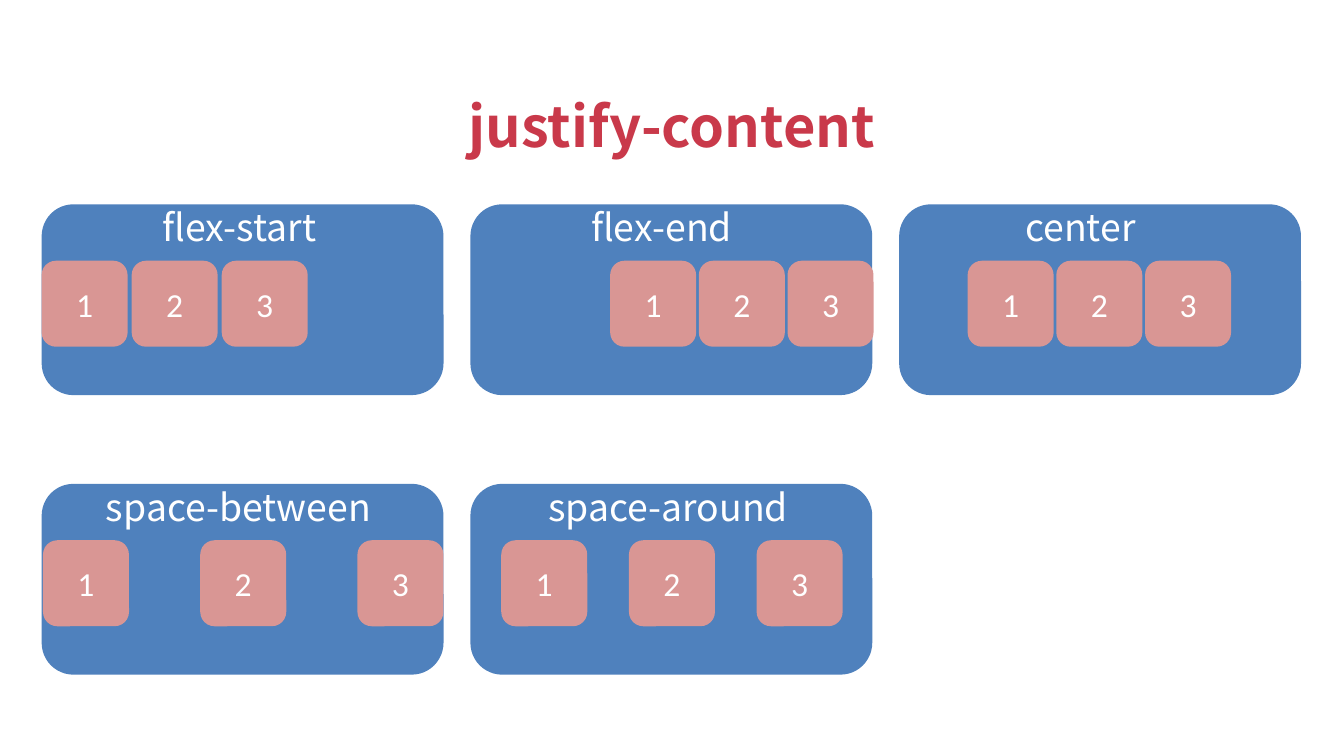
import pptx
import pptx.util
import pptx.dml.color
import pptx.enum.shapes
import pptx.enum.text

Inches = pptx.util.Inches
Pt = pptx.util.Pt
RGB = pptx.dml.color.RGBColor
ROUND = pptx.enum.shapes.MSO_SHAPE.ROUNDED_RECTANGLE
ALIGN = pptx.enum.text.PP_ALIGN
ANCHOR = pptx.enum.text.MSO_ANCHOR
FIT = pptx.enum.text.MSO_AUTO_SIZE

RED = RGB(0xC9, 0x39, 0x4A)
BLUE = RGB(0x4F, 0x81, 0xBD)
PINK = RGB(0xD9, 0x96, 0x94)
WHITE = RGB(0xFF, 0xFF, 0xFF)
SANS = "Noto Sans CJK SC"

deck = pptx.Presentation()
deck.slide_width = Inches(10)
deck.slide_height = Inches(10) * 9 // 16
slide = deck.slides.add_slide(deck.slide_layouts[5])


def write(frame, text, size, font, color, align):
    para = frame.paragraphs[0]
    para.alignment = align
    run = para.add_run()
    run.text = text
    run.font.size = Pt(size)
    run.font.name = font
    run.font.color.rgb = color
    return run


def add_box(left, top, width, height, fill):
    box = slide.shapes.add_shape(
        ROUND, Inches(left), Inches(top), Inches(width), Inches(height))
    box.shadow.inherit = False
    box.fill.solid()
    box.fill.fore_color.rgb = fill
    box.line.fill.background()
    return box


title = slide.shapes.title
title.left, title.top = Inches(3.33), Inches(0.63)
title.width, title.height = Inches(3.34), Inches(0.61)
frame = title.text_frame
frame.word_wrap = False
frame.auto_size = FIT.SHAPE_TO_FIT_TEXT
frame.vertical_anchor = ANCHOR.TOP
write(frame, "justify-content", 30, SANS, RED, ALIGN.CENTER).font.bold = True

# column, row, name, name left, name width, first tile left, tile step
panels = [
    (0, 0, "flex-start", 1.11, 1.41, 0.31, 0.67),
    (1, 0, "flex-end", 4.30, 1.31, 4.54, 0.66),
    (2, 0, "center", 7.53, 1.04, 7.20, 0.66),
    (0, 1, "space-between", 0.69, 2.24, 0.32, 1.17),
    (1, 1, "space-around", 3.98, 2.04, 3.73, 0.95),
]

for col, row, name, left, width, first, step in panels:
    top = 1.52 + 2.08 * row
    add_box(0.31 + 3.19 * col, top, 2.99, 1.42, BLUE)

    label = slide.shapes.add_textbox(
        Inches(left), Inches(top - 0.05), Inches(width), Inches(0.44))
    frame = label.text_frame
    frame.word_wrap = False
    frame.auto_size = FIT.SHAPE_TO_FIT_TEXT
    write(frame, name, 20, SANS, WHITE, ALIGN.LEFT)

    for i in range(3):
        tile = add_box(first + step * i, top + 0.42, 0.64, 0.64, PINK)
        frame = tile.text_frame
        frame.vertical_anchor = ANCHOR.MIDDLE
        write(frame, str(i + 1), 18, "Calibri", WHITE, ALIGN.CENTER)

deck.save("out.pptx")
